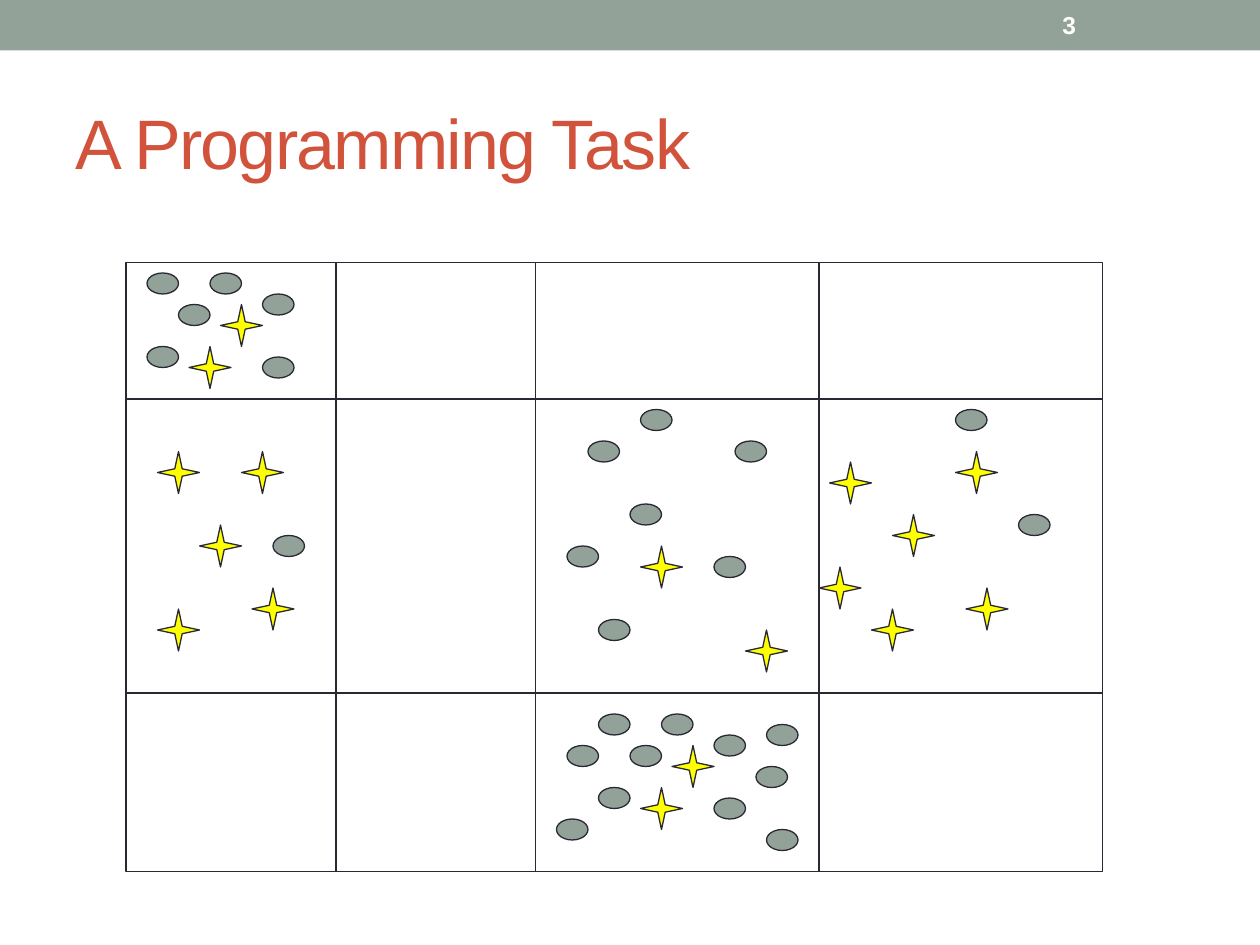
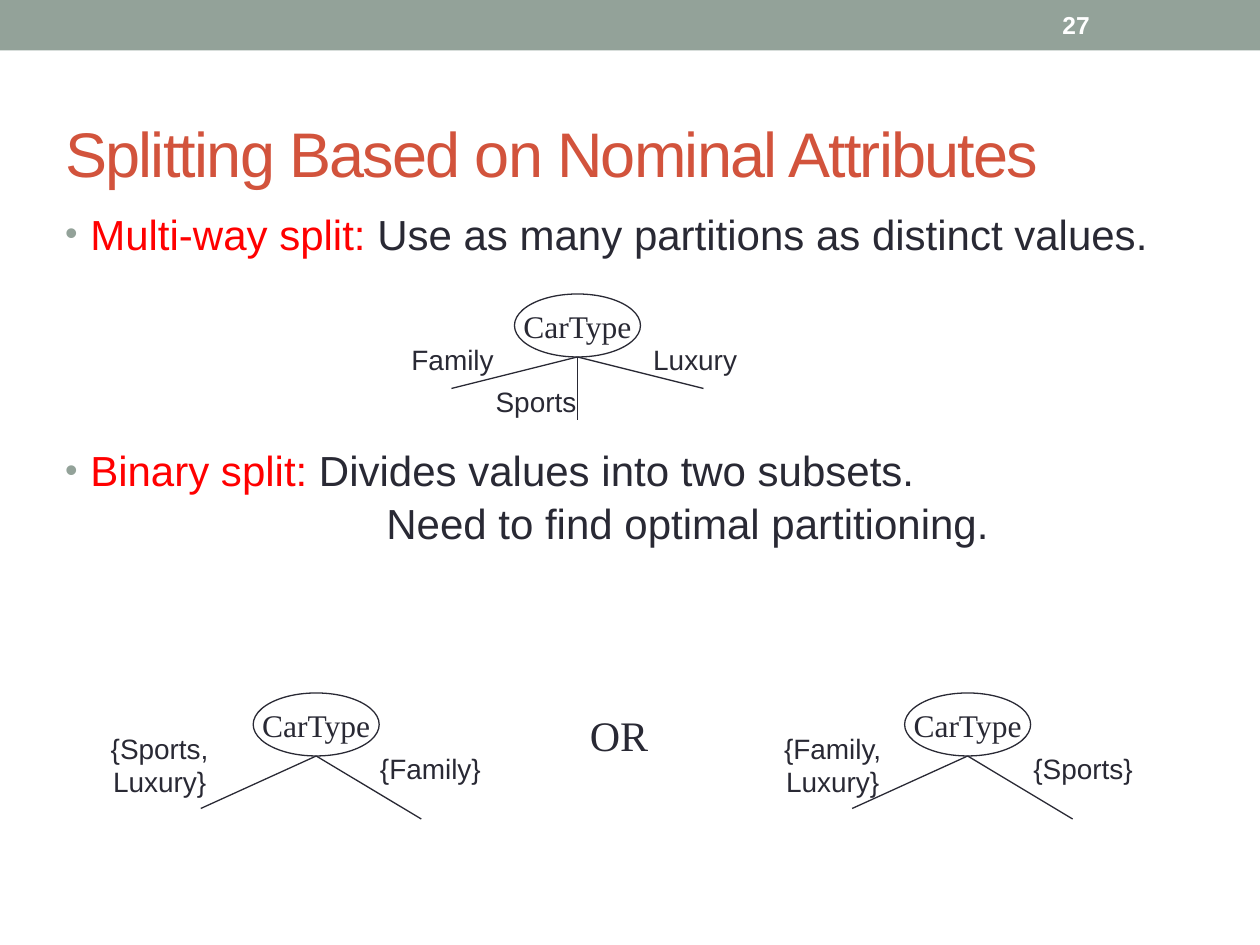
import pptx
import pptx.dml.color
import pptx.enum.shapes
import pptx.enum.text
import pptx.oxml
import pptx.oxml.ns
import pptx.util

# ---- Content: places and sizes are in grid units, 12 to the inch ----
TASK = {
    "number": "3",
    "title": ("A Programming Task", (6, 7, 108, 13), 40),
    "columns": (12, 32, 51, 78, 105),
    "rows": (25, 38, 66, 83),
    "ovals": [
        (17, 29), (14, 33), (14, 26), (20, 26), (25, 28), (25, 34),
        (26, 51),
        (60, 48), (57, 59), (56, 42), (70, 42), (61, 39), (68, 53), (54, 52),
        (91, 39), (97, 49),
        (60, 71), (57, 75), (57, 68), (63, 68), (68, 70), (68, 76),
        (73, 79), (73, 69), (72, 73), (53, 78), (54, 71),
    ],
    "stars": [
        (18, 33), (21, 29),
        (15, 43), (19, 50), (23, 43), (15, 58), (24, 56),
        (61, 52), (71, 60),
        (79, 44), (78, 54), (91, 43), (83, 58), (92, 56), (85, 49),
        (61, 75), (64, 71),
    ],
}
BINARY_BRANCHES = [(-11, 5), (10, 6)]
SPLITTING = {
    "number": "27",
    "title": ("Splitting Based on Nominal Attributes", (5, 11, 113, 7), 36),
    "body_place": (5, 19, 110, 49),
    # term, explanation, points before, left margin
    "body": [
        ("Multi-way split:", " Use as many partitions as distinct values.", None, 2.4),
        ("Binary split:", " Divides values into two subsets.", 105, 2.4),
        ("", "Need to find optimal partitioning.", 0, 30.6),
    ],
    # branches run from the bottom of the root oval
    "trees": [
        {"root": (49, 28), "branches": [(-12, 3), (0, 6), (12, 3)],
         "labels": [("Family", (38, 32, 10.2, 4.4)),
                    ("Sports", (46, 36, 10.1, 4.4)),
                    ("Luxury", (61, 32, 10.4, 4.4))]},
        {"root": (86.16, 66), "branches": BINARY_BRANCHES,
         "labels": [("{Family,\nLuxury}", (73, 69, 12.6, 7.7)),
                    ("{Sports}", (97.2, 71, 11.9, 4.4))]},
        {"root": (24.12, 66), "branches": BINARY_BRANCHES,
         "labels": [("{Sports,\nLuxury}", (9, 69, 12.4, 7.7)),
                    ("{Family}", (35, 71, 12, 4.4))]},
    ],
    "root_text": "CarType",
    "or": ("OR", (55, 67, 7.9, 6)),
}

# ---- Shared look ----
SAGE, RUST, INK, RED, YELLOW, WHITE = (
    "93A299", "D2533C", "292934", "FF0000", "FFFF00", "FFFFFF")
SANS, SERIF = "Arial", "Times New Roman"
SHAPES = pptx.enum.shapes.MSO_SHAPE
ALIGN = pptx.enum.text.PP_ALIGN
MIDDLE = pptx.enum.text.MSO_ANCHOR.MIDDLE
NO_FIT = pptx.enum.text.MSO_AUTO_SIZE.NONE
NUMBER_PLACE = (100, 0.24, 14, 4.3)


def color(value):
    return pptx.dml.color.RGBColor.from_string(value)


def units(*values):
    return [pptx.util.Cm(value * 2.54 / 12) for value in values]


def apply(target, values):
    for name, value in values.items():
        setattr(target, name, value)


def add_span(para, text, size, ink=INK, font=SANS, bold=False):
    span = para.add_run()
    span.text = text
    apply(span.font, {"name": font, "size": pptx.util.Pt(size), "bold": bold})
    span.font.color.rgb = color(ink)
    return span


def write(box, text, size, align=ALIGN.CENTER, wrap=False, **look):
    frame = box.text_frame
    apply(frame, {"word_wrap": wrap, "vertical_anchor": MIDDLE, "auto_size": NO_FIT})
    for index, line in enumerate(text.split("\n")):
        para = frame.add_paragraph() if index else frame.paragraphs[0]
        para.alignment = align
        add_span(para, line, size, **look)


def add_label(shapes, text, place, size, **look):
    write(shapes.add_textbox(*units(*place)), text, size, **look)


def add_figure(shapes, kind, place, fill, outline=INK):
    figure = shapes.add_shape(kind, *units(*place))
    figure.shadow.inherit = False
    figure.fill.solid()
    figure.fill.fore_color.rgb = color(fill)
    if outline:
        figure.line.color.rgb = color(outline)
        figure.line.width = pptx.util.Pt(0.75)
    else:
        figure.line.fill.background()
    return figure


def add_line(shapes, start, end):
    line = shapes.add_connector(
        pptx.enum.shapes.MSO_CONNECTOR.STRAIGHT, *units(*start, *end))
    line.line.color.rgb = color(INK)
    line.line.width = pptx.util.Pt(0.75)
    line.element.spPr.append(pptx.oxml.parse_xml(
        f'<a:effectLst {pptx.oxml.ns.nsdecls("a")}/>'))


def move(box, place):
    apply(box, dict(zip(("left", "top", "width", "height"), units(*place))))


def add_page(deck, layout, content):
    page = deck.slides.add_slide(deck.slide_layouts[layout])
    text, place, size = content["title"]
    title = page.shapes.title
    move(title, place)
    write(title, text, size, align=ALIGN.LEFT, wrap=True, ink=RUST)
    title.text_frame.paragraphs[0].runs[0].font._element.set("spc", "-100")
    add_label(page.shapes, content["number"], NUMBER_PLACE, 14,
              align=ALIGN.LEFT, wrap=True, ink=WHITE, bold=True)
    return page


def add_master_band(deck, page):
    band = add_figure(page.shapes, SHAPES.RECTANGLE, (0, 0, 120, 4.8), SAGE, None)
    deck.slide_master.shapes.element.insert(2, band.element)


# ---- Field of ovals and stars ----
def draw_field(shapes, content):
    columns, rows = content["columns"], content["rows"]
    left, right, top, bottom = columns[0], columns[-1], rows[0], rows[-1]
    add_figure(shapes, SHAPES.RECTANGLE,
               (left, top, right - left, bottom - top), WHITE)
    for y in rows[1:-1]:
        add_line(shapes, (left, y), (right, y))
    for x in columns[1:-1]:
        add_line(shapes, (x, top), (x, bottom))
    for spot in content["ovals"]:
        add_figure(shapes, SHAPES.OVAL, (*spot, 3, 2), SAGE)
    for spot in content["stars"]:
        star = add_figure(shapes, SHAPES.STAR_4_POINT, (*spot, 4, 4), YELLOW)
        star.adjustments[0] = 0.125


# ---- Bulleted definitions ----
def set_bullet(para, margin, bulleted):
    properties = para._p.get_or_add_pPr()
    hang = units(2.4)[0] if bulleted else 0
    properties.set("marL", str(units(margin)[0]))
    properties.set("indent", str(-hang))
    marks = ([f'buClr {{}}><a:srgbClr val="{SAGE}"/></a:buClr>',
              'buSzPct {} val="85000"/>', 'buFont {} typeface="Arial"/>',
              'buChar {} char="•"/>'] if bulleted else ["buNone {}/>"])
    for mark in marks:
        properties.append(pptx.oxml.parse_xml(
            "<a:" + mark.format(pptx.oxml.ns.nsdecls("a"))))


def fill_body(box, content):
    move(box, content["body_place"])
    frame = box.text_frame
    apply(frame, {"word_wrap": True, "auto_size": NO_FIT})
    for index, (term, meaning, before, margin) in enumerate(content["body"]):
        para = frame.add_paragraph() if index else frame.paragraphs[0]
        para.line_spacing = 1.05
        if before is not None:
            para.space_before = pptx.util.Pt(before)
        set_bullet(para, margin, bool(term))
        if term:
            add_span(para, term, 24, RED)
        add_span(para, meaning, 24)


# ---- Split trees ----
def draw_tree(page, tree, root_text):
    shapes = page.shapes.add_group_shape().shapes
    x, y = tree["root"]
    root = add_figure(shapes, SHAPES.OVAL, (x, y, 12, 6), WHITE)
    write(root, root_text, 18, font=SERIF)
    start = (x + 6, y + 6)
    for across, down in tree["branches"]:
        add_line(shapes, start, (start[0] + across, start[1] + down))
    for text, place in tree["labels"]:
        add_label(shapes, text, place, 16)


def main():
    deck = pptx.Presentation()
    deck.slide_width, deck.slide_height = units(120, 90)

    page = add_page(deck, 5, TASK)
    add_master_band(deck, page)
    draw_field(page.shapes, TASK)

    page = add_page(deck, 1, SPLITTING)
    fill_body(page.placeholders[1], SPLITTING)
    for tree in SPLITTING["trees"]:
        draw_tree(page, tree, SPLITTING["root_text"])
    add_label(page.shapes, *SPLITTING["or"], 24, font=SERIF)

    deck.save("out.pptx")


if __name__ == "__main__":
    main()
